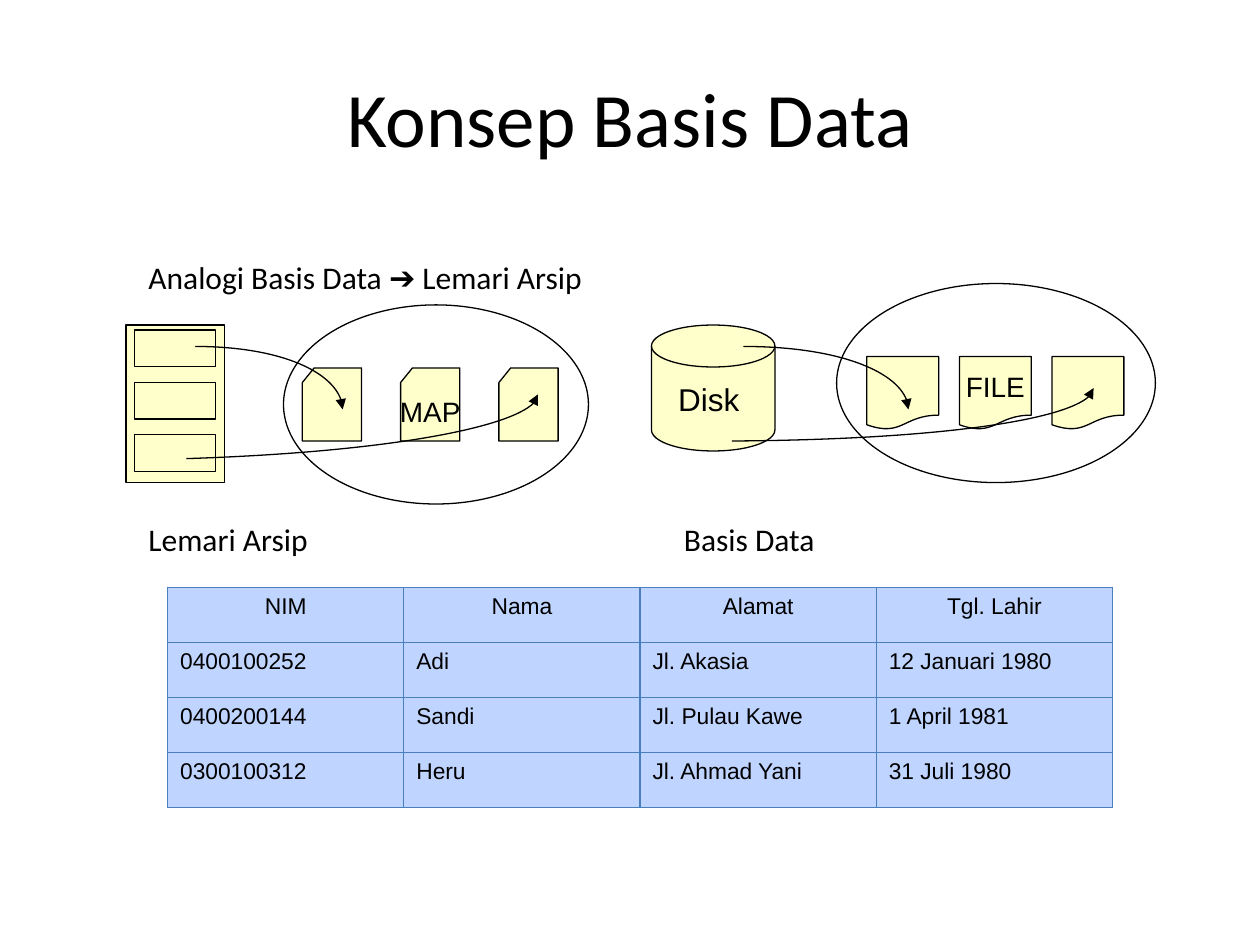
import pptx
import pptx.dml.color
import pptx.enum.shapes
import pptx.enum.text
import pptx.oxml
import pptx.oxml.ns
import pptx.util

Inches = pptx.util.Inches
Kind = pptx.enum.shapes.MSO_SHAPE
Align = pptx.enum.text.PP_ALIGN
Anchor = pptx.enum.text.MSO_ANCHOR
qn = pptx.oxml.ns.qn
SPACE = pptx.oxml.ns.nsdecls("a")

INK, CREAM, BLUE, EDGE = "000000", "FFFFCC", "BFD4FF", "4B7EBC"

ROWS = [
    ["NIM", "Nama", "Alamat", "Tgl. Lahir"],
    ["0400100252", "Adi", "Jl. Akasia", "12 Januari 1980"],
    ["0400200144", "Sandi", "Jl. Pulau Kawe", "1 April 1981"],
    ["0300100312", "Heru", "Jl. Ahmad Yani", "31 Juli 1980"],
]


def paint(target, color):
    target.solid()
    target.fore_color.rgb = pptx.dml.color.RGBColor.from_string(color)


def style(para, size, face, align=Align.LEFT):
    para.alignment = align
    para.font.size = pptx.util.Pt(size)
    para.font.name = face
    paint(para.font.fill, INK)


def outline(shape):
    shape.shadow.inherit = False
    paint(shape.line.fill, INK)
    shape.line.width = pptx.util.Pt(0.75)


def add_shape(slide, kind, box, fill=CREAM, text="", size=16):
    shape = slide.shapes.add_shape(kind, *map(Inches, box))
    outline(shape)
    if fill:
        paint(shape.fill, fill)
    else:
        shape.fill.background()
    if text:
        frame = shape.text_frame
        frame.text = text
        frame.word_wrap = False
        frame.vertical_anchor = Anchor.MIDDLE
        style(frame.paragraphs[0], size, "Arial", Align.CENTER)


def add_curve(slide, start, *points):
    build = slide.shapes.build_freeform(*map(Inches, start))
    build.add_line_segments(
        [tuple(map(Inches, point)) for point in points], close=False)
    shape = build.convert_to_shape()
    outline(shape)
    shape.fill.background()
    props = shape.element.spPr
    curve = pptx.oxml.parse_xml(f"<a:cubicBezTo {SPACE}/>")
    lines = list(props.iter(qn("a:lnTo")))
    route = lines[0].getparent()
    for line in lines:
        curve.append(line[0])
        route.remove(line)
    route.append(curve)
    props.find(qn("a:ln")).append(
        pptx.oxml.parse_xml(f'<a:tailEnd {SPACE} type="triangle"/>'))


def add_label(slide, text, left, top, width):
    box = slide.shapes.add_textbox(*map(Inches, (left, top, width, 0.4)))
    box.text_frame.text = text
    box.text_frame.word_wrap = False
    style(box.text_frame.paragraphs[0], 18, "Calibri")


def add_files(slide, kind, left, top, width, step, name):
    for col, text in enumerate(["", name, ""]):
        add_shape(slide, kind, (left + col * step, top, width, 0.58), text=text)


def draw_cabinet(slide):
    add_shape(slide, Kind.RECTANGLE, (1, 2.58, 0.78, 1.25))
    for row in range(3):
        add_shape(slide, Kind.RECTANGLE, (1.07, 2.62 + row * 0.415, 0.64, 0.29))
    add_shape(slide, Kind.OVAL, (2.25, 2.42, 2.42, 1.58), None)
    add_files(slide, Kind.FLOWCHART_CARD, 2.4, 2.92, 0.47, 0.78, "MAP")
    add_curve(slide, (1.55, 2.75), (2.19, 2.75), (2.72, 2.97), (2.72, 3.25))
    add_curve(slide, (1.48, 3.64), (3.03, 3.59), (4.28, 3.36), (4.27, 3.13))


def draw_disk(slide):
    add_shape(slide, Kind.FLOWCHART_MAGNETIC_DISK, (5.17, 2.58, 0.98, 1),
              text="Disk ", size=18)
    add_shape(slide, Kind.OVAL, (6.64, 2.25, 2.53, 1.58), None)
    add_files(slide, Kind.FLOWCHART_DOCUMENT, 6.88, 2.83, 0.57, 0.735, "FILE")
    add_curve(slide, (5.9, 2.75), (6.62, 2.75), (7.21, 2.97), (7.21, 3.25))
    add_curve(slide, (5.81, 3.5), (7.4, 3.49), (8.68, 3.31), (8.68, 3.08))


def add_borders(cell):
    props = cell._tc.get_or_add_tcPr()
    for side in "LRTB":
        props.append(pptx.oxml.parse_xml(
            f'<a:ln{side} {SPACE} w="9525"><a:solidFill>'
            f'<a:srgbClr val="{EDGE}"/></a:solidFill></a:ln{side}>'))


def add_table(slide):
    box = map(Inches, (1.33, 4.66, 7.5, 1.75))
    table = slide.shapes.add_table(len(ROWS), len(ROWS[0]), *box).table
    table.first_row = table.horz_banding = False
    for row, texts in enumerate(ROWS):
        for col, text in enumerate(texts):
            cell = table.cell(row, col)
            cell.text = text
            add_borders(cell)
            paint(cell.fill, BLUE)
            style(cell.text_frame.paragraphs[0], 13, "Arial",
                  Align.LEFT if row else Align.CENTER)


def add_title(slide, text):
    title = slide.shapes.title
    title.left, title.top, title.width, title.height = map(
        Inches, (0.5, 0.3, 9, 1.25))
    title.text_frame.text = text
    title.text_frame.vertical_anchor = Anchor.MIDDLE
    style(title.text_frame.paragraphs[0], 44, "Calibri", Align.CENTER)


def main():
    deck = pptx.Presentation()
    deck.slide_width, deck.slide_height = Inches(10), Inches(7.5)
    slide = deck.slides.add_slide(deck.slide_layouts[5])
    add_title(slide, "Konsep Basis Data")
    draw_cabinet(slide)
    draw_disk(slide)
    add_table(slide)
    add_label(slide, "Analogi Basis Data ➔ Lemari Arsip", 1.08, 2, 3.79)
    add_label(slide, "Lemari Arsip", 1.08, 4.08, 1.48)
    add_label(slide, "Basis Data", 5.33, 4.08, 1.25)
    deck.save("out.pptx")


if __name__ == "__main__":
    main()
